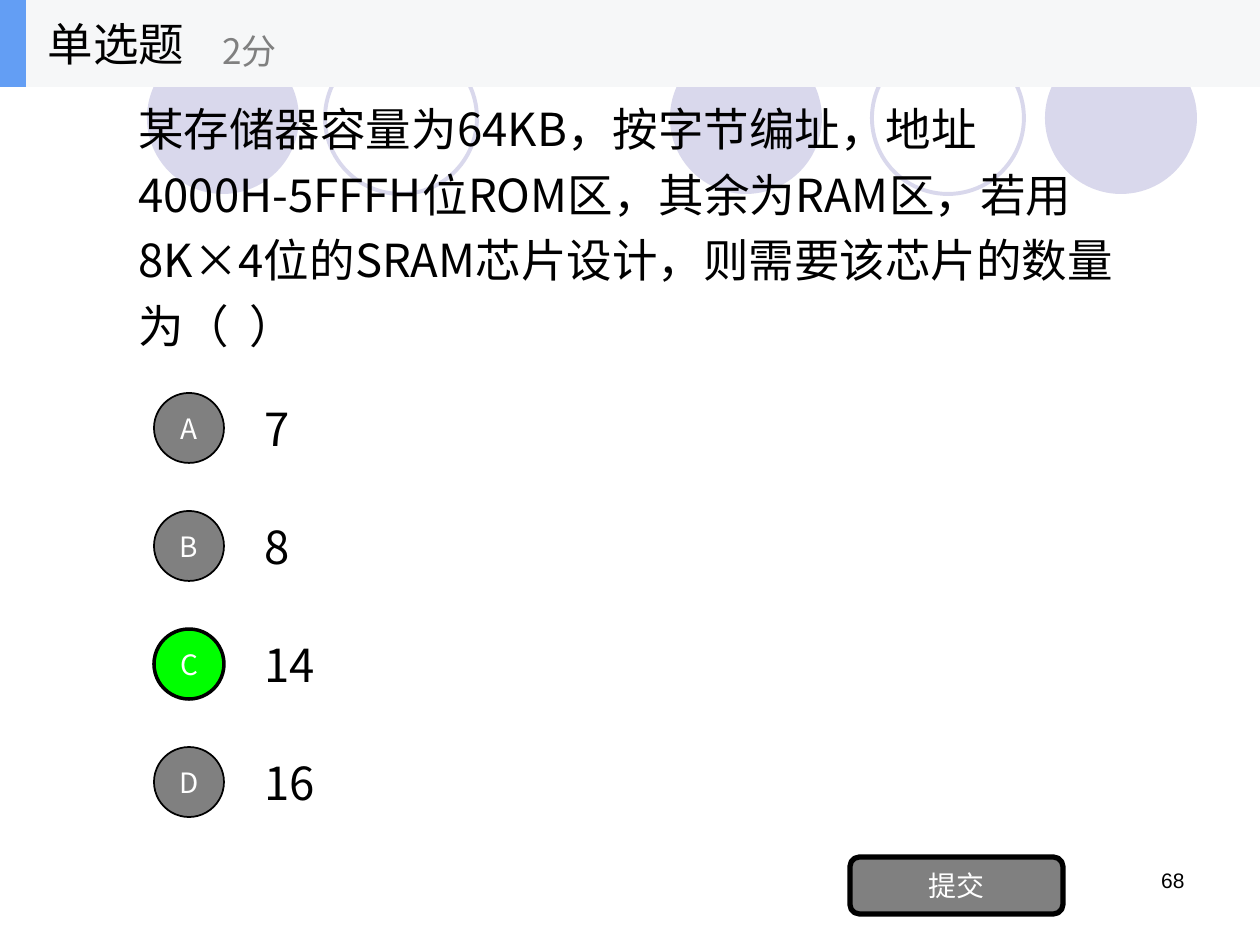
"""Build a single-choice quiz slide with four lettered options and a submit button."""
from lxml.etree import SubElement
from pptx import Presentation
from pptx.dml.color import RGBColor
from pptx.enum.shapes import MSO_SHAPE as Shape
from pptx.enum.text import MSO_ANCHOR as Anchor, MSO_AUTO_SIZE as AutoSize, PP_ALIGN as Align
from pptx.oxml.ns import qn
from pptx.util import Emu, Pt

PX = 914400 / 126
FONT = "Noto Sans CJK SC"
BLACK = RGBColor(0x00, 0x00, 0x00)
WHITE = RGBColor(0xFF, 0xFF, 0xFF)
GREY = RGBColor(0x80, 0x80, 0x80)
GREEN = RGBColor(0x00, 0xFF, 0x00)
LILAC = RGBColor(0xD9, 0xD8, 0xEC)
PALE = RGBColor(0xF6, 0xF7, 0xF8)
BLUE = RGBColor(0x63, 0x9E, 0xF4)


def px(*lengths):
    return [Emu(round(length * PX)) for length in lengths]


def write(box, text, size, color, align=Align.LEFT, anchor=Anchor.MIDDLE, name=FONT, spacing=1.0):
    frame = box.text_frame
    frame_format = {"word_wrap": True, "auto_size": AutoSize.NONE, "vertical_anchor": anchor}
    for key, value in frame_format.items():
        setattr(frame, key, value)
    para = frame.paragraphs[0]
    para.alignment = align
    para.line_spacing = spacing
    span = para.add_run()
    span.text = text
    for key, value in {"name": name, "size": Pt(size), "bold": False}.items():
        setattr(span.font, key, value)
    span.font.color.rgb = color
    SubElement(span.font._element, qn("a:ea"), typeface=name)


deck = Presentation()
deck.slide_width, deck.slide_height = px(1260, 945)
page = deck.slides.add_slide(deck.slide_layouts[5])
shapes = page.shapes

plain_shapes = [
    (Shape.OVAL, (670, 42, 152, 152), LILAC, None),
    (Shape.OVAL, (1045, 42, 152, 152), LILAC, None),
    (Shape.OVAL, (147, 42, 152, 152), LILAC, None),
    (Shape.OVAL, (872, 42, 152, 152), None, LILAC),
    (Shape.OVAL, (325, 42, 152, 152), None, LILAC),
    (Shape.RECTANGLE, (0, 0, 1260, 87), PALE, None),
    (Shape.RECTANGLE, (0, 0, 26, 87), BLUE, None),
]
for kind, place, fill, line in plain_shapes:
    shape = shapes.add_shape(kind, *px(*place))
    shape.shadow.inherit = False
    if fill is None:
        shape.fill.background()
        shape.line.color.rgb = line
        shape.line.width = Pt(2.25)
    else:
        shape.fill.solid()
        shape.fill.fore_color.rgb = fill
        shape.line.fill.background()

title = shapes.title
title.left, title.top, title.width, title.height = px(35, 0, 262, 87)
write(title, "单选题", 26, BLACK)
title.element.getparent().append(title.element)

points = shapes.add_textbox(*px(210, 15, 315, 71))
write(points, "2分", 20, GREY)

question = shapes.add_textbox(*px(126, 74, 1008, 295))
write(
    question,
    "某存储器容量为64KB，按字节编址，地址4000H-5FFFH位ROM区，其余为RAM区，"
    "若用8K×4位的SRAM芯片设计，则需要该芯片的数量为（  ）",
    26, BLACK, spacing=1.2,
)

buttons = [(Shape.ROUNDED_RECTANGLE, (850, 857, 213, 57), "提交", GREY, 3)]
for row, (letter, answer) in enumerate(zip("ABCD", ["7", "8", "14", "16"])):
    option = shapes.add_textbox(*px(252, 384 + 118 * row, 882, 88))
    write(option, answer, 26, BLACK)
    fill, width = (GREEN, 2) if letter == "C" else (GREY, 1)
    buttons.append((Shape.OVAL, (154, 393 + 118 * row, 70, 70), letter, fill, width))

for kind, place, label, fill, width in buttons:
    button = shapes.add_shape(kind, *px(*place))
    button.shadow.inherit = False
    button.fill.solid()
    button.fill.fore_color.rgb = fill
    button.line.color.rgb = BLACK
    button.line.width = Pt(width)
    write(button, label, 16, WHITE, Align.CENTER)

number = shapes.add_textbox(*px(903, 861, 294, 63))
write(number, "68", 12, BLACK, Align.RIGHT, Anchor.TOP, "Arial")

deck.save("out.pptx")
